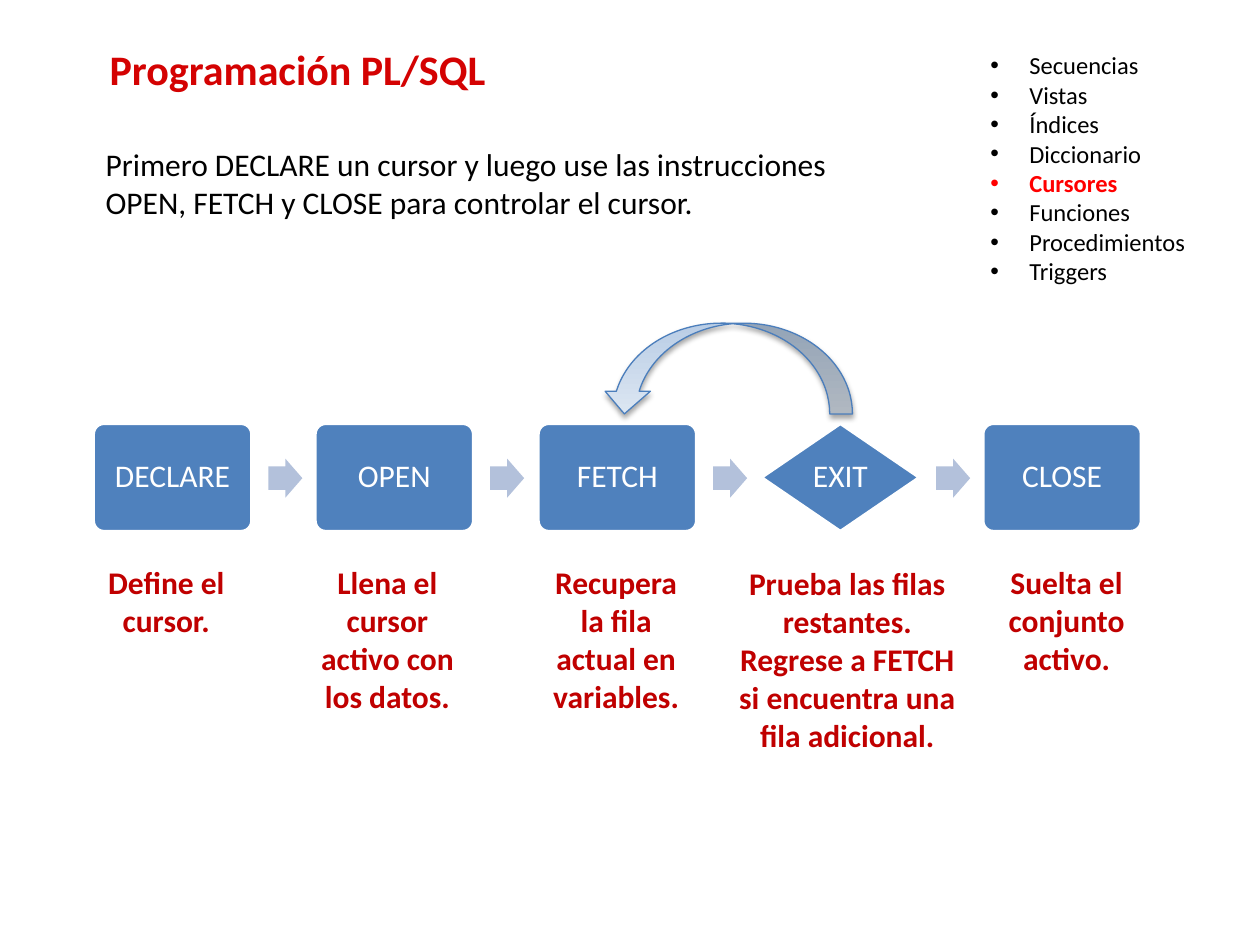
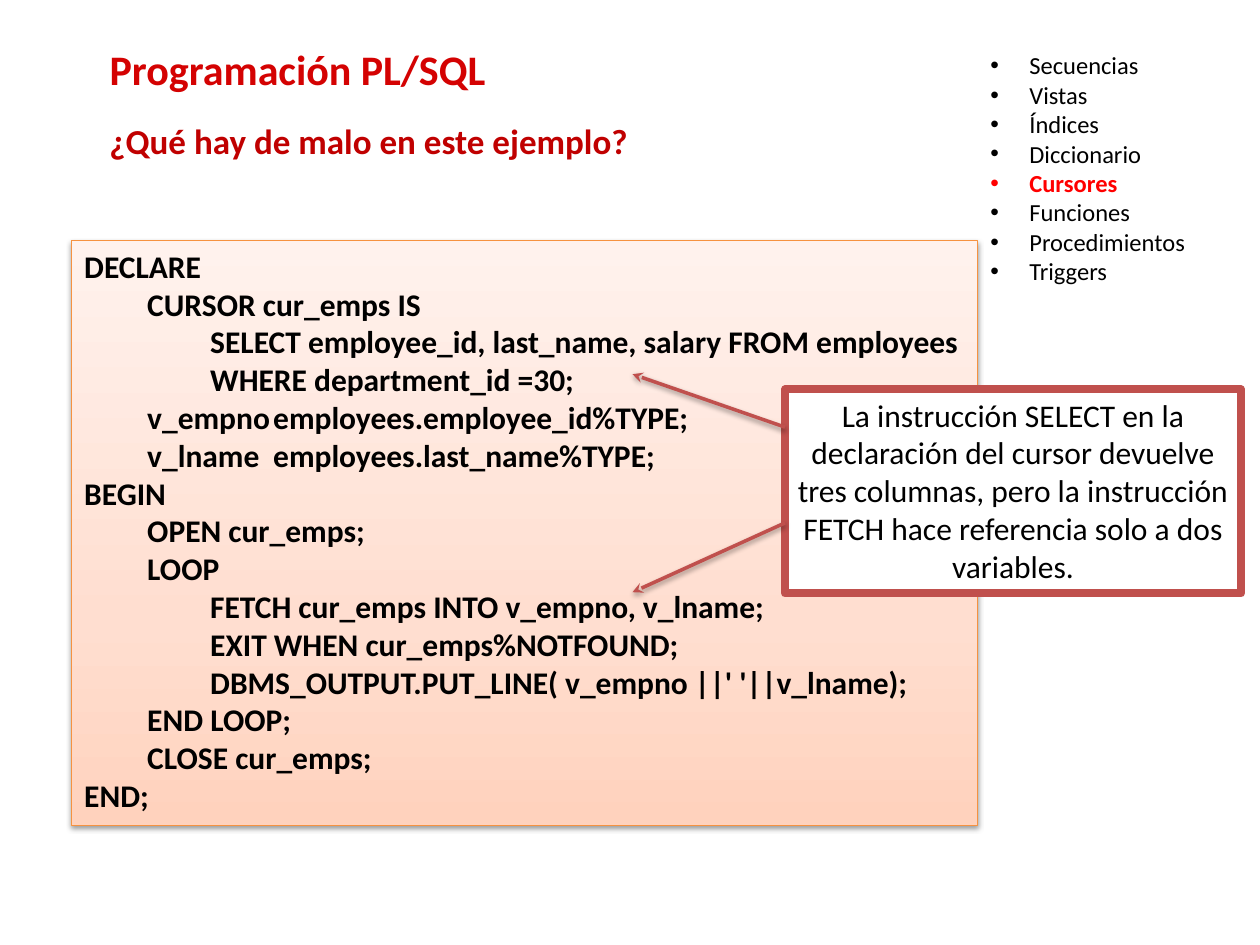
from dataclasses import dataclass
from typing import NamedTuple

from lxml.etree import SubElement
from pptx import Presentation
from pptx.dml.color import RGBColor
from pptx.enum.shapes import MSO_CONNECTOR, MSO_SHAPE
from pptx.enum.text import MSO_ANCHOR, MSO_AUTO_SIZE, PP_ALIGN
from pptx.oxml.ns import qn
from pptx.util import Emu, Pt

EMU_PER_PX = 9144  # 100 px to the inch
FONT = "Calibri"
COLORS = {
    "title": "D40202", "accent": "C00000", "current": "FF0000",
    "text": "000000", "white": "FFFFFF", "step": "4F81BD",
    "step_arrow": "B3C1DB", "loop_line": "4B7EBC", "panel_line": "F69240",
    "callout": "C0504D",
}
LOOP_STOPS = [(0, "B9CDE5"), (100, "DCE6F2")]
PANEL_STOPS = [(0, "FFD2BD"), (35, "FFDED0"), (100, "FFF2ED")]

TOPICS = ["Secuencias", "Vistas", "Índices", "Diccionario", "Cursores",
          "Funciones", "Procedimientos", "Triggers"]
CURRENT_TOPIC = "Cursores"


class Box(NamedTuple):
    left: int
    top: int
    width: int
    height: int

    def emu(self) -> list[Emu]:
        return [px(length) for length in self]


@dataclass(frozen=True)
class TextStyle:
    size: int = 18
    color: str = "text"
    bold: bool = False
    align: PP_ALIGN = PP_ALIGN.LEFT


@dataclass(frozen=True)
class Step:
    label: str
    caption: str
    caption_box: Box
    outline: MSO_SHAPE = MSO_SHAPE.ROUNDED_RECTANGLE


class CodeLine(NamedTuple):
    level: int
    text: str


STEPS = [
    Step("DECLARE", "Define el cursor.", Box(74, 442, 116, 71)),
    Step("OPEN", "Llena el cursor activo con los datos.", Box(244, 442, 127, 131)),
    Step("FETCH", "Recupera la fila actual en variables.", Box(425, 442, 128, 131)),
    Step("EXIT", "Prueba las filas restantes. Regrese a FETCH si encuentra "
         "una fila adicional.", Box(571, 443, 203, 162),
         MSO_SHAPE.FLOWCHART_DECISION),
    Step("CLOSE", "Suelta el conjunto activo.", Box(781, 442, 131, 101)),
]
FIRST_STEP = Box(74, 336, 126, 86)
STEP_PITCH = 176.5
CAPTION = TextStyle(color="accent", bold=True, align=PP_ALIGN.CENTER)

CODE = [
    CodeLine(0, "DECLARE"),
    CodeLine(1, "CURSOR cur_emps IS"),
    CodeLine(2, "SELECT employee_id, last_name, salary FROM employees"),
    CodeLine(2, "WHERE department_id =30;"),
    CodeLine(1, "v_empno\temployees.employee_id%TYPE;"),
    CodeLine(1, "v_lname\temployees.last_name%TYPE;"),
    CodeLine(0, "BEGIN"),
    CodeLine(1, "OPEN cur_emps;"),
    CodeLine(1, "LOOP"),
    CodeLine(2, "FETCH cur_emps INTO v_empno, v_lname;"),
    CodeLine(2, "EXIT WHEN cur_emps%NOTFOUND;"),
    CodeLine(2, "DBMS_OUTPUT.PUT_LINE( v_empno ||' '||v_lname);"),
    CodeLine(1, "END LOOP;"),
    CodeLine(1, "CLOSE cur_emps;"),
    CodeLine(0, "END;"),
]
CODE_INDENT = 50
TYPE_COLUMN = 158


def px(length: float) -> Emu:
    return Emu(round(length * EMU_PER_PX))


def rgb(name: str) -> RGBColor:
    return RGBColor.from_string(COLORS[name])


def style_paragraph(paragraph, style: TextStyle) -> None:
    paragraph.alignment = style.align
    for run in paragraph.runs:
        run.font.name = FONT
        run.font.size = Pt(style.size)
        run.font.bold = style.bold
        run.font.color.rgb = rgb(style.color)


def write(frame, text: str, style: TextStyle, anchor=MSO_ANCHOR.TOP,
          wrap: bool = True) -> None:
    frame.text = text
    frame.word_wrap = wrap
    frame.auto_size = MSO_AUTO_SIZE.NONE
    frame.vertical_anchor = anchor
    for paragraph in frame.paragraphs:
        style_paragraph(paragraph, style)


def place(shape, box: Box) -> None:
    shape.left, shape.top, shape.width, shape.height = box.emu()


def add_text(slide, box: Box, text: str, style: TextStyle, wrap: bool = True) -> None:
    write(slide.shapes.add_textbox(*box.emu()).text_frame, text, style, wrap=wrap)


def set_line(line, color: str, width: float) -> None:
    line.color.rgb = rgb(color)
    line.width = Pt(width)


def add_flat(slide, outline: MSO_SHAPE, box: Box, fill: str | None = None):
    """Add a preset shape with no shadow and no line."""
    shape = slide.shapes.add_shape(outline, *box.emu())
    shape.shadow.inherit = False
    shape.line.fill.background()
    if fill:
        shape.fill.solid()
        shape.fill.fore_color.rgb = rgb(fill)
    return shape


def set_gradient(shape, stops: list[tuple[int, str]], angle: int) -> None:
    shape.fill.gradient()
    shape.fill.gradient_angle = angle
    stop_list = shape._element.spPr.find(".//" + qn("a:gsLst"))
    for old_stop in list(stop_list):
        stop_list.remove(old_stop)
    for position, color in stops:
        stop = SubElement(stop_list, qn("a:gs"), pos=str(position * 1000))
        SubElement(stop, qn("a:srgbClr"), val=color)


def drop_shadow(shape, opacity: int, distance: float) -> None:
    properties = shape._element.spPr
    effects = properties.find(qn("a:effectLst"))
    if effects is None:
        effects = SubElement(properties, qn("a:effectLst"))
    shadow = SubElement(effects, qn("a:outerShdw"), blurRad=str(Pt(3.1)),
                        dist=str(Pt(distance)), dir="5400000", rotWithShape="0")
    color = SubElement(shadow, qn("a:srgbClr"), val=COLORS["text"])
    SubElement(color, qn("a:alpha"), val=str(opacity * 1000))


def add_topic_slide(presentation):
    """Add a slide with the shared title and the list of course topics."""
    slide = presentation.slides.add_slide(presentation.slide_layouts[1])
    title, topics = slide.placeholders
    place(title, Box(77, 19, 400, 71))
    write(title.text_frame, "Programación PL/SQL",
          TextStyle(24, "title", True), MSO_ANCHOR.MIDDLE)

    place(topics, Box(776, 35, 186, 199))
    write(topics.text_frame, "\n".join(TOPICS), TextStyle(14))
    for topic in topics.text_frame.paragraphs:
        topic.space_before = Pt(0)
        properties = topic._p.get_or_add_pPr()
        properties.set("marL", str(px(31)))
        properties.set("indent", str(-px(31)))
        SubElement(properties, qn("a:buChar"), char="•")
        if topic.text == CURRENT_TOPIC:
            style_paragraph(topic, TextStyle(14, "current", True))
    return slide


def add_step(slide, step: Step, left: int) -> None:
    block = add_flat(slide, step.outline, FIRST_STEP._replace(left=left), "step")
    set_line(block.line, "white", 2)
    if step.outline == MSO_SHAPE.ROUNDED_RECTANGLE:
        block.adjustments[0] = 0.1
    frame = block.text_frame
    write(frame, step.label, TextStyle(color="white", align=PP_ALIGN.CENTER),
          MSO_ANCHOR.MIDDLE)
    frame.margin_left = frame.margin_right = px(7)
    frame.margin_top = frame.margin_bottom = px(7)
    frame.paragraphs[0].line_spacing = 0.9
    add_text(slide, step.caption_box, step.caption, CAPTION)


def build_cursor_flow(presentation) -> None:
    slide = add_topic_slide(presentation)
    add_text(slide, Box(74, 110, 637, 71),
             "Primero DECLARE un cursor y luego use las instrucciones OPEN, "
             "FETCH y CLOSE para controlar el cursor.", TextStyle())
    for index, step in enumerate(STEPS):
        left = round(FIRST_STEP.left + index * STEP_PITCH)
        add_step(slide, step, left)
        if index < len(STEPS) - 1:
            arrow = add_flat(slide, MSO_SHAPE.RIGHT_ARROW,
                             Box(left + 139, 364, 27, 31), "step_arrow")
            arrow.adjustments[0] = 0.6

    fetch_loop = add_flat(slide, MSO_SHAPE.CURVED_RIGHT_ARROW, Box(541, 193, 72, 199))
    fetch_loop.rotation = 90
    set_gradient(fetch_loop, LOOP_STOPS, 0)
    set_line(fetch_loop.line, "loop_line", 0.75)
    drop_shadow(fetch_loop, 35, 1.8)


def add_code_panel(slide) -> None:
    panel = add_flat(slide, MSO_SHAPE.RECTANGLE, Box(57, 191, 719, 464))
    set_gradient(panel, PANEL_STOPS, 90)
    set_line(panel.line, "panel_line", 0.75)
    drop_shadow(panel, 38, 1.6)
    write(panel.text_frame, "\n".join(line.text for line in CODE),
          TextStyle(bold=True))
    for paragraph, line in zip(panel.text_frame.paragraphs, CODE):
        properties = paragraph._p.get_or_add_pPr()
        properties.set("marL", "0")
        properties.set("indent", str(px(line.level * CODE_INDENT)))
        if "\t" in line.text:
            tabs = SubElement(properties, qn("a:tabLst"))
            SubElement(tabs, qn("a:tab"), pos=str(px(TYPE_COLUMN)), algn="l")


def add_pointer(slide, start: tuple[int, int], end: tuple[int, int]) -> None:
    pointer = slide.shapes.add_connector(
        MSO_CONNECTOR.STRAIGHT, *[px(length) for length in start + end])
    set_line(pointer.line, "callout", 2)
    SubElement(pointer._element.spPr.find(qn("a:ln")), qn("a:tailEnd"), type="stealth")
    drop_shadow(pointer, 38, 1.6)


def build_fetch_mistake(presentation) -> None:
    slide = add_topic_slide(presentation)
    add_text(slide, Box(77, 90, 435, 44), "¿Qué hay de malo en este ejemplo?",
             TextStyle(20, "accent", True), wrap=False)
    add_code_panel(slide)
    explanation = add_flat(slide, MSO_SHAPE.RECTANGLE, Box(623, 309, 362, 162), "white")
    set_line(explanation.line, "callout", 4.5)
    write(explanation.text_frame,
          "La instrucción SELECT en la declaración del cursor devuelve tres "
          "columnas, pero la instrucción FETCH hace referencia solo a dos "
          "variables.", TextStyle(align=PP_ALIGN.CENTER))
    add_pointer(slide, (623, 339), (502, 297))
    add_pointer(slide, (623, 415), (502, 470))


def main() -> None:
    presentation = Presentation()
    presentation.slide_width, presentation.slide_height = px(1000), px(750)
    build_cursor_flow(presentation)
    build_fetch_mistake(presentation)
    presentation.save("out.pptx")


if __name__ == "__main__":
    main()
